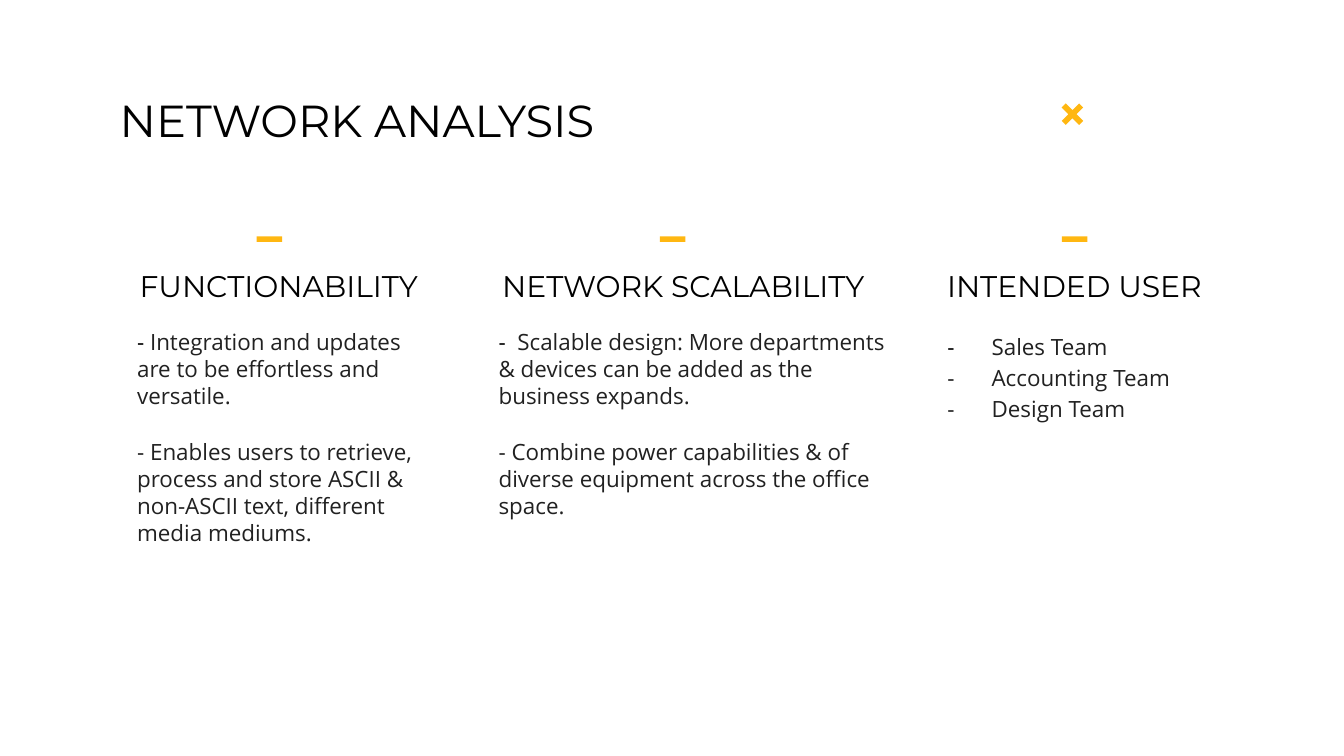
"""Build the network analysis slide with its three columns of findings."""
from dataclasses import dataclass

from lxml.etree import SubElement
from pptx import Presentation
from pptx.dml.color import RGBColor
from pptx.enum.shapes import MSO_SHAPE
from pptx.enum.text import MSO_ANCHOR, MSO_AUTO_SIZE, PP_ALIGN
from pptx.oxml.ns import qn
from pptx.util import Inches, Pt


@dataclass(frozen=True)
class Theme:
    heading_font: str = "Montserrat"
    body_font: str = "Open Sans"
    black: RGBColor = RGBColor(0, 0, 0)
    ink: RGBColor = RGBColor(0x21, 0x21, 0x21)
    accent: RGBColor = RGBColor(0xFF, 0xB7, 0x11)
    title_size: int = 24
    heading_size: int = 16
    body_size: int = 12
    gap: int = 16


theme = Theme()


def place(area, left, top, width, height):
    area.left, area.top = Inches(left), Inches(top)
    area.width, area.height = Inches(width), Inches(height)
    frame = area.text_frame
    frame.word_wrap = True
    frame.auto_size = MSO_AUTO_SIZE.NONE
    frame.vertical_anchor = MSO_ANCHOR.TOP
    frame.margin_left = frame.margin_right = Inches(0.1)
    frame.margin_top = frame.margin_bottom = Inches(0.1)
    return frame


def style(paragraph, font, size, color, align=PP_ALIGN.LEFT, before=0, spacing=1.0, bullet=None):
    paragraph.alignment = align
    paragraph.space_before, paragraph.space_after = Pt(before), Pt(0)
    paragraph.line_spacing = spacing
    for run in paragraph.runs:
        run.font.name, run.font.size = font, Pt(size)
        run.font.bold = False
        run.font.color.rgb = color
    properties = paragraph._p.get_or_add_pPr()
    properties.set("marL", str(Inches(0.5) if bullet else 0))
    properties.set("indent", str(Inches(-0.33) if bullet else 0))
    if bullet:
        bullet_color = SubElement(properties, qn("a:buClr"))
        SubElement(bullet_color, qn("a:srgbClr"), val=str(bullet))
        SubElement(properties, qn("a:buFont"), typeface=font)
        SubElement(properties, qn("a:buChar"), char="-")
    else:
        SubElement(properties, qn("a:buNone"))


presentation = Presentation()
presentation.slide_width = Inches(10)
presentation.slide_height = presentation.slide_width * 9 // 16
slide = presentation.slides.add_slide(presentation.slide_layouts[4])
title, *column_areas = slide.placeholders
column_areas += [slide.shapes.add_textbox(0, 0, 0, 0) for _ in range(2)]

title_frame = place(title, 0.79, 0.59, 8.43, 0.63)
title_frame.text = "NETWORK ANALYSIS"
style(title_frame.paragraphs[0], theme.heading_font, theme.title_size, theme.black)

columns = [
    ("FUNCTIONABILITY", (0.86, 2.43), (0.92, 2.34, 2.44), False,
     ["- Integration and updates are to be effortless and versatile.",
      "- Enables users to retrieve, process and store ASCII & non-ASCII text, "
      "different media mediums."]),
    ("NETWORK SCALABILITY", (3.45, 3.27), (3.61, 2.34, 3.17), False,
     ["-  Scalable design: More departments & devices can be added as the business expands.",
      "- Combine power capabilities & of diverse equipment across the office space."]),
    ("INTENDED USER", (6.78, 2.43), (6.78, 2.35, 2.27), True,
     ["Sales Team", "Accounting Team", "Design Team"]),
]
for index, (heading, (left, width), body_place, bulleted, points) in enumerate(columns):
    heading_area, body_area = column_areas[2 * index:2 * index + 2]
    heading_frame = place(heading_area, left, 1.89, width, 0.36)
    heading_frame.text = heading
    style(heading_frame.paragraphs[0], theme.heading_font, theme.heading_size,
          theme.black, PP_ALIGN.CENTER)

    body_frame = place(body_area, *body_place, 3.14)
    body_frame.text = "\n".join(points)
    for number, paragraph in enumerate(body_frame.paragraphs):
        mark_color = theme.ink if number else theme.black
        if not bulleted and number == 0:
            point = paragraph.text
            paragraph.text = "-"
            paragraph.add_run().text = point[1:]
        style(paragraph, theme.body_font, theme.body_size, theme.ink,
              before=theme.gap if number and not bulleted else 0,
              spacing=1.15 if bulleted else 1.0,
              bullet=mark_color if bulleted else None)
        if not bulleted and number == 0:
            paragraph.runs[0].font.color.rgb = mark_color

cross_points = [(-5, -8), (-8, -5), (-3, 0), (-8, 5), (-5, 8), (0, 3),
                (5, 8), (8, 5), (3, 0), (8, -5), (5, -8), (0, -3)]
cross_outline = [(Inches(7.98 + x / 100), Inches(0.85 + y / 100)) for x, y in cross_points]
cross_builder = slide.shapes.build_freeform(*cross_outline[0])
cross_builder.add_line_segments(cross_outline[1:], close=True)
cross = cross_builder.convert_to_shape()

dashes = [
    slide.shapes.add_shape(MSO_SHAPE.RECTANGLE, Inches(left), Inches(1.76),
                           Inches(0.19), Inches(0.04))
    for left in (1.91, 4.91, 7.9)
]
for ornament in [cross, *dashes]:
    ornament.shadow.inherit = False
    ornament.fill.solid()
    ornament.fill.fore_color.rgb = theme.accent
    ornament.line.fill.background()

presentation.save("out.pptx")
